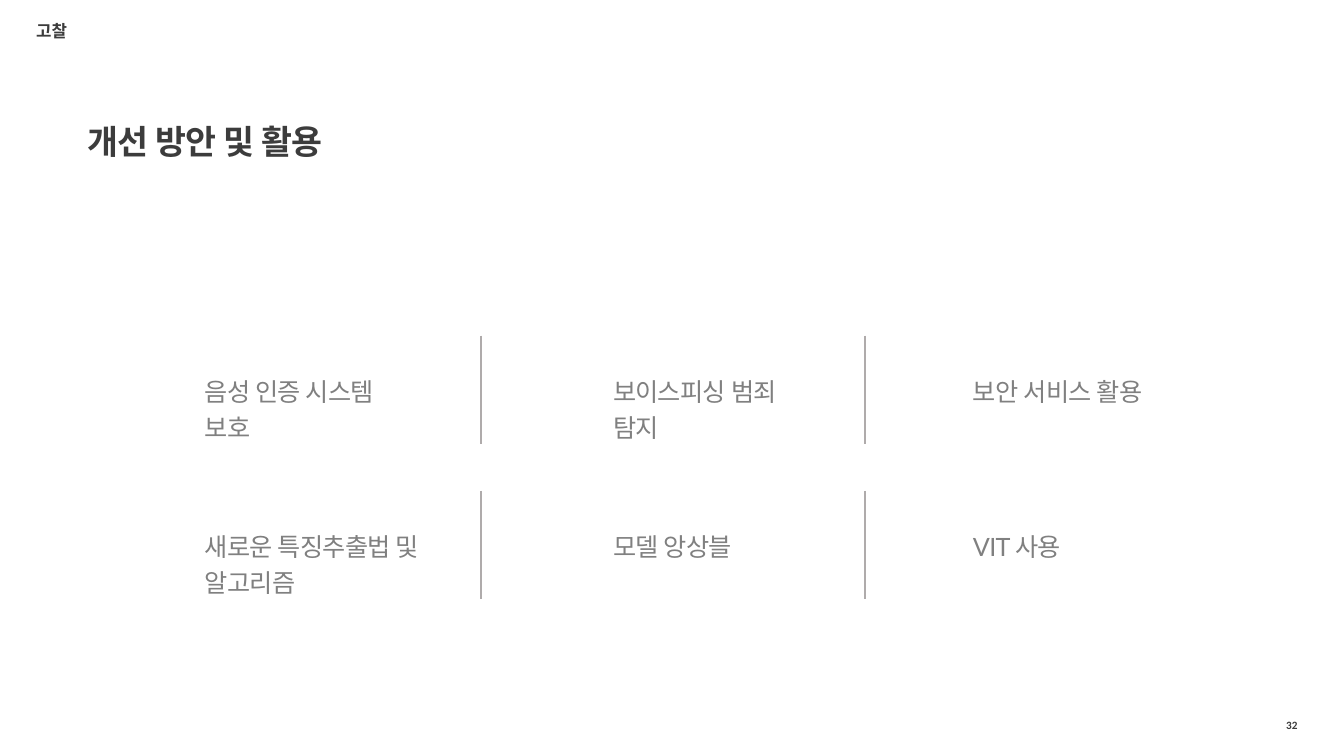
from dataclasses import dataclass
from itertools import product

from pptx import Presentation
from pptx.dml.color import RGBColor
from pptx.enum.lang import MSO_LANGUAGE_ID as Language
from pptx.enum.shapes import MSO_CONNECTOR as Connector
from pptx.enum.text import MSO_AUTO_SIZE as AutoSize, PP_ALIGN as Align
from pptx.oxml.ns import qn
from pptx.slide import Slide
from pptx.util import Emu, Pt

DARK = RGBColor(0x3C, 0x3C, 0x3C)
GRAY = RGBColor(0x80, 0x80, 0x80)
RULE = RGBColor(0xAF, 0xAB, 0xAB)

COLUMN_LEFTS = (203, 608, 965)
DIVIDER_LEFTS = (477, 858)
ROW_TOPS = (333, 487)
DIVIDER_HEIGHT = 107
IDEA_OFFSET = 34
IDEA_WIDTH = 195
LINE_HEIGHT = 35


@dataclass(frozen=True)
class Label:
    text: str
    left: int
    top: int
    width: int
    height: int
    size: int
    color: RGBColor = DARK
    bold: bool = True
    font: str = "Lato"
    line_spacing: float = 1.0
    tracking: int = 0
    align: Align = Align.LEFT
    insets: tuple[int, int, int, int] = (0, 0, 0, 0)


@dataclass(frozen=True)
class Idea:
    text: str
    lines: int = 1
    width: int = IDEA_WIDTH


IDEAS = (
    Idea("음성 인증 시스템 보호", 2),
    Idea("보이스피싱 범죄 탐지", 2),
    Idea("보안 서비스 활용"),
    Idea("새로운 특징추출법 및 알고리즘", 2, 218),
    Idea("모델 앙상블"),
    Idea("VIT 사용"),
)

HEADINGS = (
    Label("32", 991, 708, 300, 24, 8, font="Calibri", align=Align.RIGHT,
          insets=(4, 5, 4, 5)),
    Label("개선 방안 및 활용", 86, 108, 529, 47, 24, line_spacing=1.25,
          tracking=-50, insets=(1, 2, 0, 0)),
    Label("고찰", 36, 21, 150, 20, 12),
)


def px(length: int) -> Emu:
    return Emu(length * 9144)


def add_label(slide: Slide, label: Label) -> None:
    box = slide.shapes.add_textbox(
        px(label.left), px(label.top), px(label.width), px(label.height))
    frame = box.text_frame
    frame.word_wrap = True
    frame.auto_size = AutoSize.SHAPE_TO_FIT_TEXT
    (frame.margin_left, frame.margin_top,
     frame.margin_right, frame.margin_bottom) = map(px, label.insets)
    paragraph = frame.paragraphs[0]
    paragraph.alignment = label.align
    paragraph.line_spacing = label.line_spacing
    run = paragraph.add_run()
    run.text = label.text
    font = run.font
    font.name = label.font
    font.size = Pt(label.size)
    font.bold = label.bold
    font.color.rgb = label.color
    font.language_id = Language.KOREAN
    properties = run._r.get_or_add_rPr()
    if label.tracking:
        properties.set("spc", str(label.tracking))
    east_asian = properties.makeelement(qn("a:ea"), {"typeface": label.font})
    properties.find(qn("a:latin")).addnext(east_asian)


def add_divider(slide: Slide, left: int, top: int) -> None:
    divider = slide.shapes.add_connector(
        Connector.STRAIGHT, px(left), px(top), px(left), px(top + DIVIDER_HEIGHT))
    divider.line.color.rgb = RULE
    divider.line.width = Pt(1.5)
    properties = divider._element.spPr
    properties.append(properties.makeelement(qn("a:effectLst"), {}))


def main() -> None:
    deck = Presentation()
    deck.slide_width, deck.slide_height = px(1333), px(750)
    slide = deck.slides.add_slide(deck.slide_layouts[6])
    for heading in HEADINGS:
        add_label(slide, heading)
    for idea, (top, left) in zip(IDEAS, product(ROW_TOPS, COLUMN_LEFTS)):
        add_label(slide, Label(
            idea.text, left, top + IDEA_OFFSET, idea.width,
            idea.lines * LINE_HEIGHT, 18, GRAY, bold=False,
            line_spacing=1.2, tracking=-50))
    for top, left in product(ROW_TOPS, DIVIDER_LEFTS):
        add_divider(slide, left, top)
    deck.save("out.pptx")


if __name__ == "__main__":
    main()
